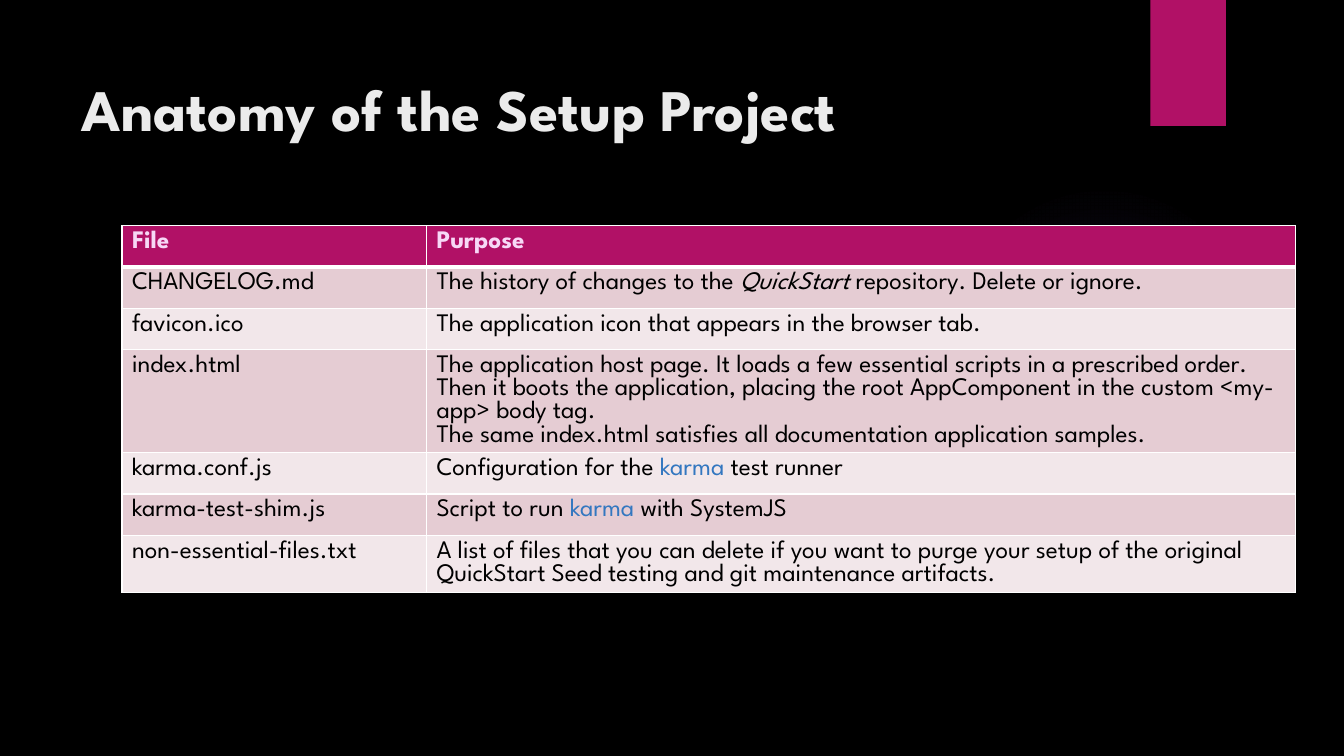
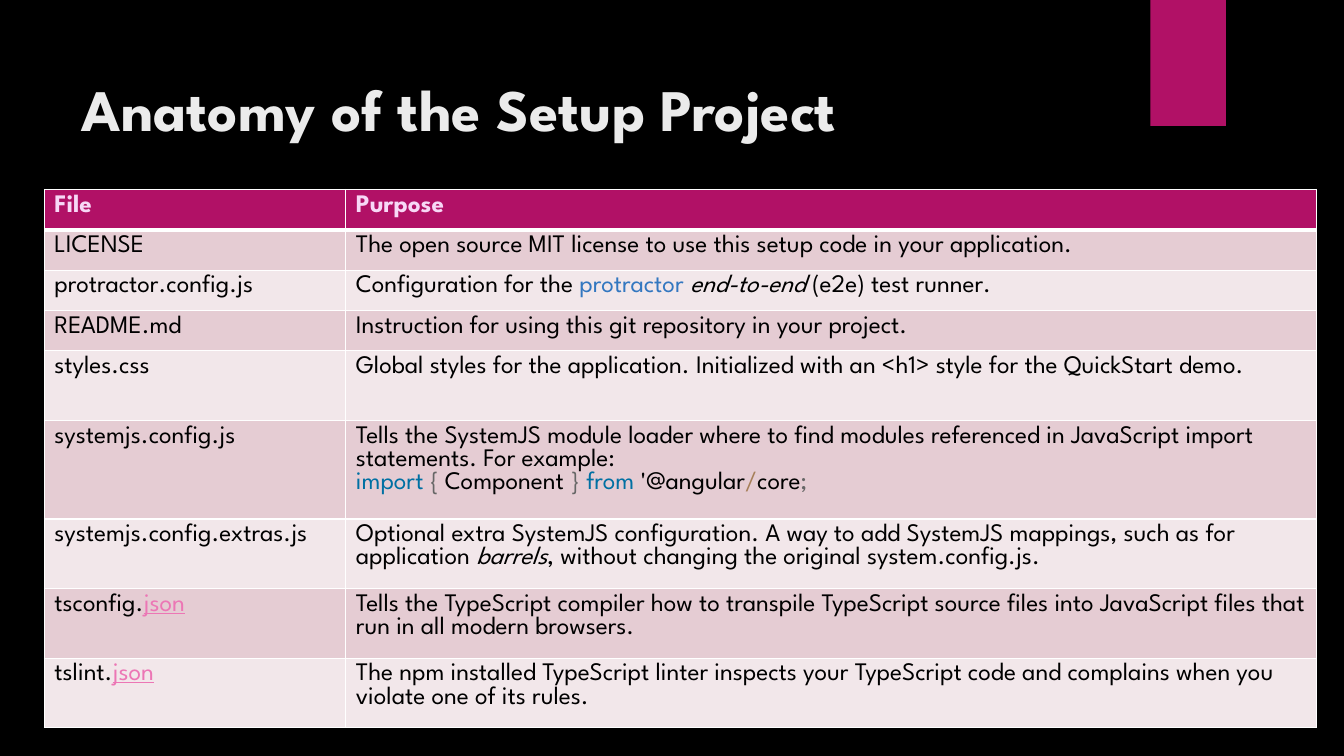
from lxml import etree
from pptx import Presentation
from pptx.dml.color import RGBColor
from pptx.enum import shapes, text
from pptx.oxml import ns
from pptx.util import Inches, Pt

FONT = "League Spartan"
BLACK = RGBColor(0x00, 0x00, 0x00)
WHITE = RGBColor(0xFF, 0xFF, 0xFF)
MAGENTA = RGBColor(0xB1, 0x11, 0x66)
GLOW = RGBColor(0x9B, 0x6B, 0xF2)
TITLE_GREY = RGBColor(0xEB, 0xEB, 0xEB)
HEADER_PINK = RGBColor(0xF7, 0xD8, 0xF6)
ROW_DARK = RGBColor(0xE5, 0xCC, 0xD3)
ROW_LIGHT = RGBColor(0xF2, 0xE7, 0xEA)
TOOL_BLUE = RGBColor(0x33, 0x77, 0xC0)
KEYWORD = RGBColor(0x00, 0x70, 0xA3)
PUNCTUATION = RGBColor(0x66, 0x66, 0x66)
OPERATOR = RGBColor(0xA6, 0x7F, 0x59)
LINK_PINK = RGBColor(0xEC, 0x76, 0xB5)

TITLE = "Anatomy of the Setup Project"
HEADER = ("File", "Purpose")

# A cell is a string or a list of paragraphs; a paragraph is a string or a
# list of runs; a run is a string or a (string, font settings) pair.
ITALIC = {"italic": True}
TOOL = {"color": TOOL_BLUE}
LINK = {"color": LINK_PINK, "underline": True}

SETUP_FILES = [
    (0.41, "CHANGELOG.md",
     [["The history of changes to the ", ("QuickStart", ITALIC),
       " repository. Delete or ignore."]]),
    (0.41, "favicon.ico",
     "The application icon that appears in the browser tab."),
    (1.02, "index.html",
     ["The application host page. It loads a few essential scripts in a "
      "prescribed order. Then it boots the application, placing the root "
      "AppComponent in the custom <my-app> body tag.",
      "The same index.html satisfies all documentation application samples."]),
    (0.41, "karma.conf.js",
     [["Configuration for the ", ("karma", TOOL), " test runner"]]),
    (0.41, "karma-test-shim.js",
     [["Script to run ", ("karma", TOOL), " with SystemJS"]]),
    (0.57, "non-essential-files.txt",
     "A list of files that you can delete if you want to purge your setup of "
     "the original QuickStart Seed testing and git maintenance artifacts."),
]

CONFIG_FILES = [
    (0.4, "LICENSE",
     "The open source MIT license to use this setup code in your application."),
    (0.4, "protractor.config.js",
     [["Configuration for the ", ("protractor ", TOOL),
       ("end-to-end", ITALIC), " (e2e) test runner."]]),
    (0.4, "README.md",
     "Instruction for using this git repository in your project."),
    (0.69, "styles.css",
     "Global styles for the application. Initialized with an <h1> style for "
     "the QuickStart demo."),
    (0.98, "systemjs.config.js",
     ["Tells the SystemJS module loader where to find modules referenced in "
      "JavaScript import statements. For example:",
      [("import ", {"color": KEYWORD}), ("{", {"color": PUNCTUATION}),
       " Component ", ("} ", {"color": PUNCTUATION}),
       ("from", {"color": KEYWORD}), " '@angular",
       ("/", {"color": OPERATOR}), "core", (";", {"color": PUNCTUATION})]]),
    (0.69, "systemjs.config.extras.js",
     [["Optional extra SystemJS configuration. A way to add SystemJS mappings, "
       "such as for application ", ("barrels", ITALIC),
       ", without changing the original system.config.js."]]),
    (0.69, "tsconfig.json", "Tells the TypeScript compiler how to transpile "
     "TypeScript source files into JavaScript files that run in all modern "
     "browsers."),
    (0.69, "tslint.json", "The npm installed TypeScript linter inspects your "
     "TypeScript code and complains when you violate one of its rules."),
]


def add_run(paragraph, words, size, color, bold=False, italic=False,
            underline=False):
    run = paragraph.add_run()
    run.text = words
    font = run.font
    font.name, font.size = FONT, Pt(size)
    font.bold, font.italic, font.underline = bold, italic, underline
    font.color.rgb = color


def add_shape(slide, preset, left, top, width, height):
    shape = slide.shapes.add_shape(preset, Inches(left), Inches(top),
                                   Inches(width), Inches(height))
    shape.shadow.inherit = False
    shape.line.fill.background()
    return shape


def add_glow(slide):
    """Place the faint round glow that fades out towards its edge."""
    glow = add_shape(slide, shapes.MSO_SHAPE.OVAL, 9.41, 1.83, 3.08, 3.08)
    stops = "".join(
        f'<a:gs pos="{pos * 1000}"><a:srgbClr val="{GLOW}">'
        f'<a:alpha val="{alpha * 1000}"/></a:srgbClr></a:gs>'
        for pos, alpha in ((0, 7), (36, 6), (69, 0)))
    gradient = etree.fromstring(
        f'<a:gradFill {ns.nsdecls("a")}><a:gsLst>{stops}</a:gsLst>'
        '<a:path path="circle"><a:fillToRect l="50000" t="50000" r="50000" '
        'b="50000"/></a:path></a:gradFill>')
    glow.element.spPr.find(ns.qn("a:prstGeom")).addnext(gradient)


def add_band(slide):
    band = add_shape(slide, shapes.MSO_SHAPE.RECTANGLE, 11.41, 0, 0.75, 1.25)
    band.fill.solid()
    band.fill.fore_color.rgb = MAGENTA


def format_title(slide):
    title = slide.shapes.title
    title.left, title.top = Inches(0.71), Inches(0.5)
    title.width, title.height = Inches(10.29), Inches(1.53)
    frame = title.text_frame
    frame.word_wrap = True
    frame.auto_size = text.MSO_AUTO_SIZE.NONE
    frame.vertical_anchor = text.MSO_ANCHOR.TOP
    frame.margin_top = Inches(0.22)
    paragraph = frame.paragraphs[0]
    paragraph.alignment = text.PP_ALIGN.LEFT
    add_run(paragraph, TITLE, 42, TITLE_GREY, bold=True)


def set_borders(cell, top, bottom):
    """Draw white borders; top and bottom are widths in points."""
    properties = cell._tc.get_or_add_tcPr()
    widths = (("lnL", 1), ("lnR", 1), ("lnT", top), ("lnB", bottom))
    for index, (side, width) in enumerate(widths):
        properties.insert(index, etree.fromstring(
            f'<a:{side} {ns.nsdecls("a")} w="{Pt(width)}"><a:solidFill>'
            f'<a:srgbClr val="{WHITE}"/></a:solidFill></a:{side}>'))


def fill_cell(cell, content, background, color, bold):
    cell.fill.solid()
    cell.fill.fore_color.rgb = background
    frame = cell.text_frame
    paragraphs = [content] if isinstance(content, str) else content
    for index, runs in enumerate(paragraphs):
        paragraph = frame.add_paragraph() if index else frame.paragraphs[0]
        for run in [runs] if isinstance(runs, str) else runs:
            words, settings = (run, {}) if isinstance(run, str) else run
            add_run(paragraph, words, 18,
                    **{"color": color, "bold": bold, **settings})


def file_name(name):
    """Show the json ending of a file name in the link style."""
    if not name.endswith("json"):
        return name
    return [[name.removesuffix("json"), ("json", LINK)]]


def add_file_table(slide, left, top, columns, header_height, files):
    heights = [header_height] + [height for height, _, _ in files]
    rows = [HEADER] + [(file_name(name), purpose) for _, name, purpose in files]
    table = slide.shapes.add_table(
        len(rows), len(columns), Inches(left), Inches(top),
        Inches(sum(columns)), Inches(sum(heights))).table
    table.horz_banding = False
    for column, width in zip(table.columns, columns):
        column.width = Inches(width)
    for r, (height, contents) in enumerate(zip(heights, rows)):
        table.rows[r].height = Inches(height)
        is_header = r == 0
        background = MAGENTA if is_header else ROW_DARK if r % 2 else ROW_LIGHT
        for c, content in enumerate(contents):
            cell = table.cell(r, c)
            fill_cell(cell, content, background,
                      HEADER_PINK if is_header else BLACK, is_header)
            set_borders(cell, 3 if r == 1 else 1, 3 if is_header else 1)


def add_file_slide(prs, **table):
    slide = prs.slides.add_slide(prs.slide_layouts[5])
    add_glow(slide)
    add_band(slide)
    format_title(slide)
    add_file_table(slide, **table)


def main():
    prs = Presentation()
    prs.slide_width, prs.slide_height = Inches(13.33), Inches(7.5)
    backdrop = prs.slide_master.background.fill
    backdrop.solid()
    backdrop.fore_color.rgb = BLACK
    add_file_slide(prs, left=1.21, top=2.24, columns=(3.02, 8.62),
                   header_height=0.41, files=SETUP_FILES)
    add_file_slide(prs, left=0.44, top=1.88, columns=(2.99, 9.63),
                   header_height=0.4, files=CONFIG_FILES)
    prs.save("out.pptx")


if __name__ == "__main__":
    main()
